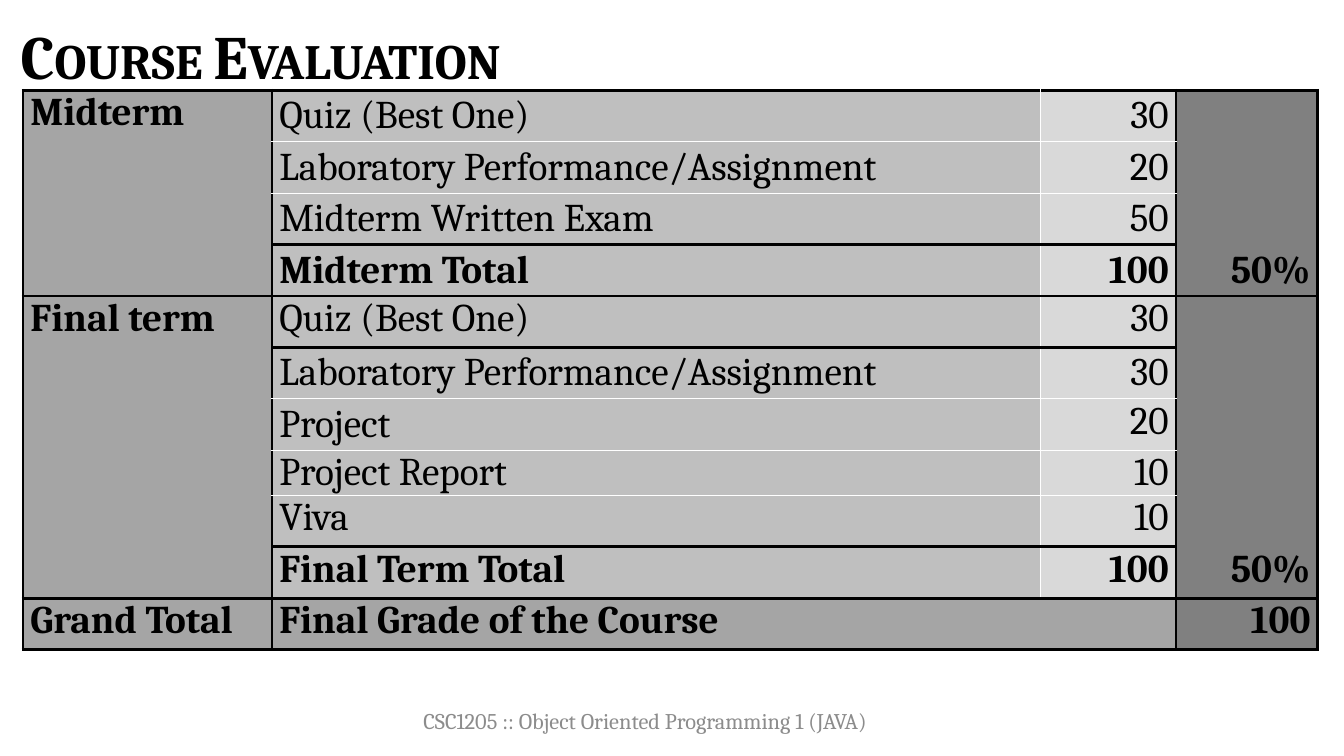
from dataclasses import dataclass

from lxml.etree import SubElement
from pptx import Presentation
from pptx.dml.color import RGBColor
from pptx.enum.text import MSO_ANCHOR, MSO_AUTO_SIZE, PP_ALIGN
from pptx.oxml.ns import qn
from pptx.util import Pt

PX = 9525


@dataclass(frozen=True)
class Theme:
    font: str = "Cambria"
    ink: str = "000000"
    rule: str = "FFFFFF"
    footer: str = "8C8C8C"
    term_fill: str = "A5A5A5"
    item_fill: str = "BFBFBF"
    marks_fill: str = "D9D9D9"
    share_fill: str = "808080"
    title_size: int = 44
    table_size: int = 28
    footer_size: int = 16


theme = Theme()


def write(frame, text, size, color, bold, align):
    frame.text = text
    paragraph = frame.paragraphs[0]
    paragraph.alignment = align
    font = paragraph.runs[0].font
    font.name = theme.font
    font.size = Pt(size)
    font.bold = bold
    font.color.rgb = RGBColor.from_string(color)
    return paragraph


def draw_edge(cell, side, edge):
    properties = cell._tc.get_or_add_tcPr()
    if edge is None:
        SubElement(SubElement(properties, qn(f"a:ln{side}"), w="0"), qn("a:noFill"))
        return
    color, width = edge
    line = SubElement(properties, qn(f"a:ln{side}"), w=str(Pt(width)))
    SubElement(SubElement(line, qn("a:solidFill")), qn("a:srgbClr"), val=color)


prs = Presentation()
prs.slide_width, prs.slide_height = 1280 * PX, 720 * PX
slide = prs.slides.add_slide(prs.slide_layouts[5])

title = slide.shapes.title
title.left, title.top, title.width, title.height = 10 * PX, 11 * PX, 1258 * PX, 91 * PX
heading = write(title.text_frame, "Course Evaluation", theme.title_size, theme.ink, True, PP_ALIGN.LEFT)
heading.line_spacing = 0.9
heading.runs[0].font._element.set("cap", "small")
title.text_frame.auto_size = MSO_AUTO_SIZE.NONE
title.text_frame.vertical_anchor = MSO_ANCHOR.MIDDLE

evaluation = [
    ("Midterm", "Quiz (Best One)", "30", ""),
    ("", "Laboratory Performance/Assignment", "20", ""),
    ("", "Midterm Written Exam", "50", ""),
    ("", "Midterm Total", "100", "50%"),
    ("Final term", "Quiz (Best One)", "30", ""),
    ("", "Laboratory Performance/Assignment", "30", ""),
    ("", "Project", "20", ""),
    ("", "Project Report", "10", ""),
    ("", "Viva", "10", ""),
    ("", "Final Term Total", "100", "50%"),
    ("Grand Total", "Final Grade of the Course", "", "100"),
]
TERM, ITEM, MARKS, SHARE = range(4)
GRAND_TOTAL = len(evaluation) - 1
total_rows = {3, 9, GRAND_TOTAL}
term_bounds = {0, 4, 10, 11}
item_bounds = term_bounds | {3, 5, 9}
centred_rows = {TERM: set(), ITEM: {0, 1, 2, 3, 5, 6, 7}, MARKS: {0, 1, 2, 3, 5}, SHARE: {3}}

thick, thin, pale = (theme.ink, 2.25), (theme.ink, 1), (theme.rule, 1)
uprights = [thick, thin, pale, thick, thick]
fills = [theme.term_fill, theme.item_fill, theme.marks_fill, theme.share_fill]

table = slide.shapes.add_table(len(evaluation), 4, 22 * PX, 86 * PX, 1233 * PX, 538 * PX).table
table.first_row = table.horz_banding = False
for column, width in zip(table.columns, (237, 732, 129, 135)):
    column.width = width * PX
for number, row in enumerate(table.rows):
    row.height = (25 if number == 7 else 49) * PX
table.cell(GRAND_TOTAL, ITEM).merge(table.cell(GRAND_TOTAL, MARKS))

for r, entries in enumerate(evaluation):
    for c, entry in enumerate(entries):
        cell = table.cell(r, c)
        if cell.is_spanned:
            continue
        inner = c in (ITEM, MARKS)
        bounds = item_bounds if inner else term_bounds
        between = pale if inner else None
        draw_edge(cell, "L", uprights[c])
        draw_edge(cell, "R", thick if cell.is_merge_origin else uprights[c + 1])
        draw_edge(cell, "T", thick if r in bounds else between)
        draw_edge(cell, "B", thick if r + 1 in bounds else between)
        cell.fill.solid()
        fill = theme.term_fill if cell.is_merge_origin else fills[c]
        cell.fill.fore_color.rgb = RGBColor.from_string(fill)
        cell.margin_left = cell.margin_right = 7 * PX
        cell.margin_top = cell.margin_bottom = 0
        cell.vertical_anchor = MSO_ANCHOR.MIDDLE if r in centred_rows[c] else MSO_ANCHOR.TOP
        if entry:
            bold = not inner or r in total_rows
            align = PP_ALIGN.RIGHT if c in (MARKS, SHARE) else PP_ALIGN.LEFT
            write(cell.text_frame, entry, theme.table_size, theme.ink, bold, align)

course = slide.shapes.add_textbox(373 * PX, 667 * PX, 483 * PX, 38 * PX).text_frame
course.word_wrap = True
course.vertical_anchor = MSO_ANCHOR.MIDDLE
write(course, "CSC1205 :: Object Oriented Programming 1 (JAVA)", theme.footer_size, theme.footer, False, PP_ALIGN.CENTER)

prs.save("out.pptx")
